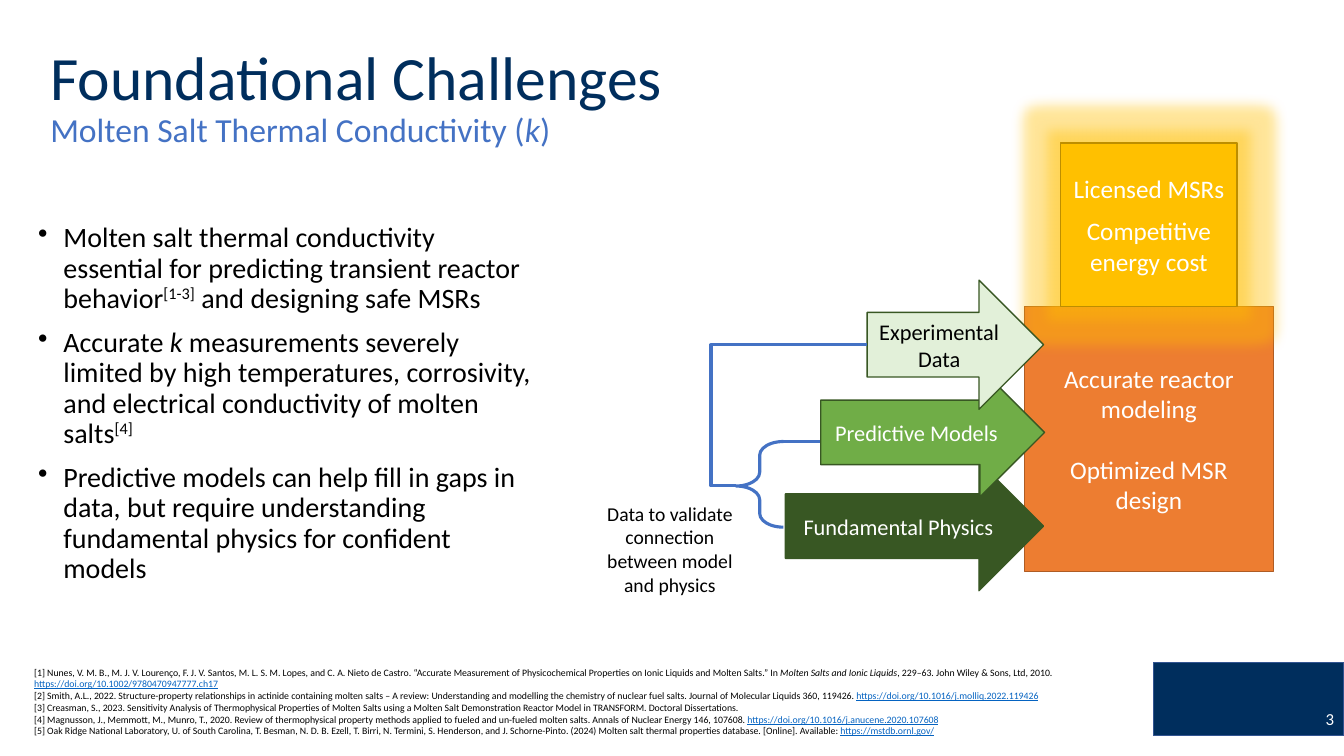
import pptx
import pptx.dml.color
import pptx.enum.shapes
import pptx.enum.text
import pptx.oxml
import pptx.oxml.ns
import pptx.util
from lxml import etree

EMU_PER_PX = 9144  # 100 px to the inch
FONT = "Calibri"
SHAPES = pptx.enum.shapes.MSO_SHAPE
CONNECTORS = pptx.enum.shapes.MSO_CONNECTOR
ANCHORS = pptx.enum.text.MSO_ANCHOR
ALIGNMENTS = pptx.enum.text.PP_ALIGN
COLOURS = {
    "navy": "002E5D", "navy_edge": "325491", "blue": "4472C4", "link": "0563C1",
    "black": "000000", "white": "FFFFFF", "orange": "ED7D31", "orange_edge": "AF5C24",
    "gold": "FFC000", "gold_edge": "BD8E00", "dark_green": "385723",
    "green": "70AD47", "pale_green": "E2F0D9",
}

BULLETS = [
    ["Molten salt thermal conductivity essential for predicting transient reactor behavior",
     ("[1-3]", "super"), " and designing safe MSRs"],
    ["Accurate ", ("k", "italic"), " measurements severely limited by high temperatures, "
     "corrosivity, and electrical conductivity of molten salts", ("[4]", "super")],
    ["Predictive models can help fill in gaps in data, but require understanding "
     "fundamental physics for confident models"],
]
REFERENCES = [
    ["[1] Nunes, V. M. B., M. J. V. Lourenço, F. J. V. Santos, M. L. S. M. Lopes, and "
     "C. A. Nieto de Castro. “Accurate Measurement of Physicochemical Properties on Ionic "
     "Liquids and Molten Salts.” In ", ("Molten Salts and Ionic Liquids", "italic"),
     ", 229–63. John Wiley & Sons, Ltd, 2010. ",
     ("https://doi.org/10.1002/9780470947777.ch17", "link")],
    ["[2] Smith, A.L., 2022. Structure-property relationships in actinide containing molten "
     "salts – A review: Understanding and modelling the chemistry of nuclear fuel salts. "
     "Journal of Molecular Liquids 360, 119426. ",
     ("https://doi.org/10.1016/j.molliq.2022.119426", "link")],
    ["[3] Creasman, S., 2023. Sensitivity Analysis of Thermophysical Properties of Molten "
     "Salts using a Molten Salt Demonstration Reactor Model in TRANSFORM. "
     "Doctoral Dissertations."],
    ["[4] Magnusson, J., Memmott, M., Munro, T., 2020. Review of thermophysical property "
     "methods applied to fueled and un-fueled molten salts. Annals of Nuclear Energy 146, "
     "107608. ", ("https://doi.org/10.1016/j.anucene.2020.107608", "link")],
    ["[5] Oak Ridge National Laboratory, U. of South Carolina, T. Besman, N. D. B. Ezell, "
     "T. Birri, N. Termini, S. Henderson, and J. Schorne-Pinto. (2024) Molten salt thermal "
     "properties database. [Online]. Available: ", ("https://mstdb.ornl.gov/", "link")],
]
# label, left, top, width, fill, text colour
ARROWS = [
    ("Fundamental Physics", 779, 458, 256, "dark_green", "white"),
    ("Predictive Models", 814, 365, 222, "green", "white"),
    ("Experimental Data", 860, 278, 175, "pale_green", "black"),
]


def px(*lengths):
    return [pptx.util.Emu(length * EMU_PER_PX) for length in lengths]


def rgb(colour):
    return pptx.dml.color.RGBColor.from_string(COLOURS[colour])


def add_bullet(paragraph):
    properties = paragraph._p.get_or_add_pPr()
    indent = px(25)[0]
    properties.set("marL", str(indent))
    properties.set("indent", str(-indent))
    bullet = etree.SubElement(properties, pptx.oxml.ns.qn("a:buChar"))
    bullet.set("char", "•")


def write_text(shape, paragraphs, size, colour="black", align=ALIGNMENTS.LEFT,
               anchor=ANCHORS.TOP, line_spacing=None, gap=0, bulleted=False):
    """Fill a shape; a run is a string or (string, "italic" | "super" | "link")."""
    frame = shape.text_frame
    frame.word_wrap = True
    frame.vertical_anchor = anchor
    for index, runs in enumerate(paragraphs):
        paragraph = frame.add_paragraph() if index else frame.paragraphs[0]
        if bulleted:
            add_bullet(paragraph)
        paragraph.alignment = align
        if line_spacing:
            paragraph.line_spacing = line_spacing
        if index and gap:
            paragraph.space_before = pptx.util.Pt(gap)
        for item in runs:
            text, style = (item, None) if isinstance(item, str) else item
            run = paragraph.add_run()
            run.text = text
            run.font.name = FONT
            run.font.size = pptx.util.Pt(size)
            run.font.color.rgb = rgb("link" if style == "link" else colour)
            if style == "italic":
                run.font.italic = True
            elif style == "link":
                run.font.underline = True
            elif style == "super":
                run._r.get_or_add_rPr().set("baseline", "30000")


def add_text(slide, box, paragraphs, size, **text_format):
    write_text(slide.shapes.add_textbox(*px(*box)), paragraphs, size, **text_format)


def add_shape(slide, kind, box, fill, edge, edge_width=1):
    shape = slide.shapes.add_shape(kind, *px(*box))
    shape.shadow.inherit = False
    if fill:
        shape.fill.solid()
        shape.fill.fore_color.rgb = rgb(fill)
    else:
        shape.fill.background()
    shape.line.color.rgb = rgb(edge)
    shape.line.width = pptx.util.Pt(edge_width)
    return shape


def add_label_shape(slide, kind, box, fill, edge, labels, size, colour="white", gap=0):
    shape = add_shape(slide, kind, box, fill, edge)
    write_text(shape, [[label] for label in labels], size, colour=colour,
               align=ALIGNMENTS.CENTER, anchor=ANCHORS.MIDDLE, gap=gap)
    return shape


def add_glow(shape, colour, radius):
    effects = shape._element.spPr.find(pptx.oxml.ns.qn("a:effectLst"))
    glow = etree.SubElement(effects, pptx.oxml.ns.qn("a:glow"), rad=str(px(radius)[0]))
    tint = etree.SubElement(glow, pptx.oxml.ns.qn("a:srgbClr"), val=COLOURS[colour])
    etree.SubElement(tint, pptx.oxml.ns.qn("a:alpha"), val="40000")


def add_line(slide, kind, ends, bend=None):
    """Draw a connector; bend is where an elbow turns, as a share of its width."""
    line = slide.shapes.add_connector(kind, *px(*ends))
    line.line.color.rgb = rgb("blue")
    line.line.width = pptx.util.Pt(2.25)
    properties = line._element.spPr
    etree.SubElement(properties, pptx.oxml.ns.qn("a:effectLst"))
    if bend is not None:
        guides = properties.find(".//" + pptx.oxml.ns.qn("a:avLst"))
        etree.SubElement(guides, pptx.oxml.ns.qn("a:gd"), name="adj1",
                         fmla=f"val {round(bend * 100000)}")


def add_diagram(slide):
    add_line(slide, CONNECTORS.STRAIGHT, (777, 438, 944, 438))
    add_label_shape(slide, SHAPES.RECTANGLE, (1016, 304, 247, 263), "orange", "orange_edge",
                    ["Accurate reactor modeling", "Optimized MSR design"], 18, gap=22)
    licensing = add_label_shape(
        slide, SHAPES.RECTANGLE, (1052, 142, 175, 162), "gold", "gold_edge",
        ["Licensed MSRs", "Competitive energy cost"], 18, gap=8.5)
    add_glow(licensing, "gold", 25)
    for label, left, top, width, fill, colour in ARROWS:
        add_label_shape(slide, SHAPES.RIGHT_ARROW, (left, top, width, 128), fill,
                        "dark_green", [label], 16, colour=colour)
    brace = add_shape(slide, SHAPES.LEFT_BRACE, (730, 438, 47, 85), None, "blue", 2.25)
    brace.adjustments[0] = 0.29
    brace.adjustments[1] = 0.52
    add_text(slide, (586, 493, 157, 104),
             [["Data to validate connection between model and physics"]], 14,
             align=ALIGNMENTS.CENTER)
    add_line(slide, CONNECTORS.ELBOW, (860, 342, 730, 482), bend=1.19)


def main():
    presentation = pptx.Presentation()
    presentation.slide_width, presentation.slide_height = px(1333, 750)
    slide = presentation.slides.add_slide(presentation.slide_layouts[6])

    add_shape(slide, SHAPES.RECTANGLE, (1144, 657, 189, 73), "navy", "navy_edge")
    add_text(slide, (40, 30, 673, 100), [["Foundational Challenges"]], 44, colour="navy",
             anchor=ANCHORS.MIDDLE, line_spacing=0.9)
    add_text(slide, (24, 608, 1116, 128), REFERENCES, 7, anchor=ANCHORS.BOTTOM)
    add_text(slide, (40, 101, 599, 59),
             [["Molten Salt Thermal Conductivity (", ("k", "italic"), ")"]], 24,
             colour="blue", anchor=ANCHORS.MIDDLE, line_spacing=0.9)
    add_diagram(slide)
    add_text(slide, (28, 217, 511, 424), BULLETS, 20, line_spacing=0.9, gap=10,
             bulleted=True)
    add_text(slide, (1033, 693, 300, 40), [["3"]], 12, colour="white",
             align=ALIGNMENTS.RIGHT, anchor=ANCHORS.MIDDLE)
    presentation.save("out.pptx")


if __name__ == "__main__":
    main()
